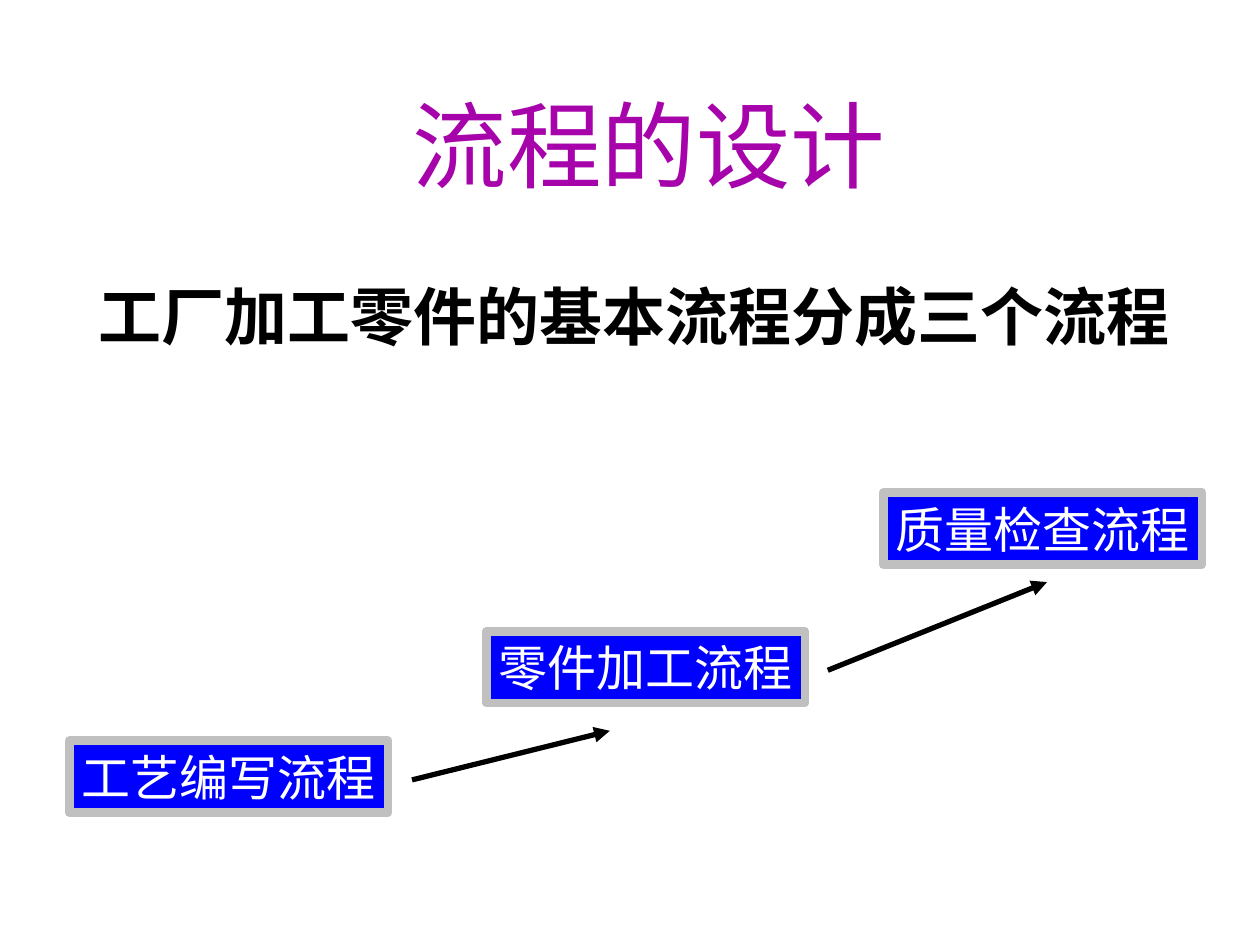
from lxml.etree import SubElement
from pptx import Presentation
from pptx.dml.color import RGBColor
from pptx.enum.shapes import MSO_CONNECTOR, MSO_SHAPE
from pptx.enum.text import MSO_ANCHOR as ANCHOR, MSO_AUTO_SIZE as AUTO_SIZE, PP_ALIGN as ALIGN
from pptx.oxml.ns import qn
from pptx.util import Inches, Pt

PURPLE = RGBColor(0xA6, 0x03, 0xAB)
BLUE = RGBColor(0x00, 0x00, 0xFF)
SILVER = RGBColor(0xC0, 0xC0, 0xC0)
BLACK = RGBColor(0x00, 0x00, 0x00)
WHITE = RGBColor(0xFF, 0xFF, 0xFF)
CHINESE_FONT = "Noto Sans CJK SC"
WIDTH, HEIGHT = Inches(10), Inches(7.5)
STEP_WIDTH, STEP_HEIGHT = 2.53, 0.57


def inches(*lengths):
    return [Inches(length) for length in lengths]


def add_text(frame, text, size, color, font=CHINESE_FONT, bold=False, align=ALIGN.CENTER):
    paragraph = frame.paragraphs[0]
    paragraph.alignment = align
    run = paragraph.add_run()
    run.text = text
    run.font.name = font
    run.font.size = Pt(size)
    run.font.bold = bold
    run.font.color.rgb = color
    east_asian = SubElement(run._r.get_or_add_rPr(), qn("a:ea"))
    east_asian.set("typeface", CHINESE_FONT)


def add_title(slide, box):
    frame = slide.shapes.add_textbox(*inches(*box)).text_frame
    frame.word_wrap = True
    add_text(frame, "流程的设计", 54, PURPLE)


def add_statement(slide, box):
    frame = slide.shapes.add_textbox(*inches(*box)).text_frame
    frame.word_wrap = True
    frame.auto_size = AUTO_SIZE.SHAPE_TO_FIT_TEXT
    frame.margin_top = Inches(0.34)
    frame.margin_left = Inches(0.27)
    frame.margin_right = 0
    add_text(frame, "工厂加工零件的基本流程分成三个流程", 36, BLACK, bold=True, align=ALIGN.LEFT)


def add_step(slide, text, left, top):
    shape = slide.shapes.add_shape(
        MSO_SHAPE.RECTANGLE, *inches(left, top, STEP_WIDTH, STEP_HEIGHT))
    shape.shadow.inherit = False
    shape.fill.solid()
    shape.fill.fore_color.rgb = BLUE
    shape.line.color.rgb = SILVER
    shape.line.width = Pt(5)
    frame = shape.text_frame
    frame.word_wrap = False
    frame.vertical_anchor = ANCHOR.MIDDLE
    add_text(frame, text, 28, WHITE, font="Arial")


def add_arrow(slide, start, end):
    arrow = slide.shapes.add_connector(MSO_CONNECTOR.STRAIGHT, *inches(*start, *end))
    arrow.line.color.rgb = BLACK
    arrow.line.width = Pt(3)
    SubElement(arrow.line._get_or_add_ln(), qn("a:tailEnd")).set("type", "triangle")
    SubElement(arrow._element.spPr, qn("a:effectLst"))


def add_staircase(slide):
    # Steps rise from left to right
    steps = [("工艺编写流程", 0.55, 5.88), ("零件加工流程", 3.86, 5.01), ("质量检查流程", 7.01, 3.91)]
    for step in steps:
        add_step(slide, *step)

    # Arrows float between neighbouring steps
    for start, end in [((3.27, 6.19), (4.84, 5.8)), ((6.57, 5.32), (8.31, 4.62))]:
        add_arrow(slide, start, end)


def main():
    presentation = Presentation()
    presentation.slide_width, presentation.slide_height = WIDTH, HEIGHT
    slide = presentation.slides.add_slide(presentation.slide_layouts[6])
    add_title(slide, (2.72, 0.64, 4.86, 0.91))
    add_statement(slide, (0.51, 1.86, 9.29, 1))
    add_staircase(slide)
    presentation.save("out.pptx")


if __name__ == "__main__":
    main()
